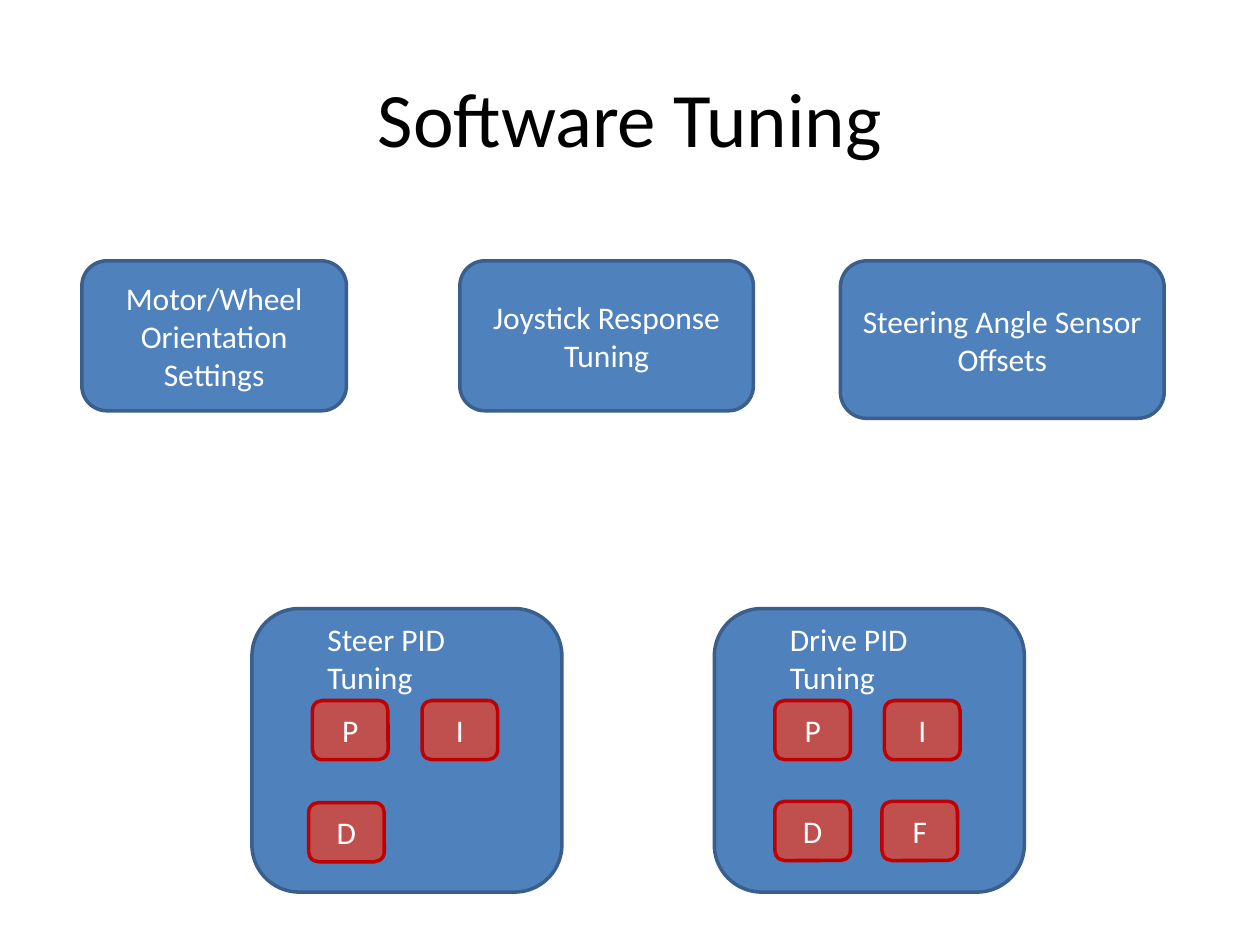
from dataclasses import dataclass

from pptx import Presentation
from pptx.dml.color import RGBColor
from pptx.enum.shapes import MSO_SHAPE
from pptx.enum.text import MSO_ANCHOR, PP_ALIGN
from pptx.util import Inches, Pt

ROUNDED = MSO_SHAPE.ROUNDED_RECTANGLE
MIDDLE = MSO_ANCHOR.MIDDLE
CENTER, LEFT = PP_ALIGN.CENTER, PP_ALIGN.LEFT
TITLE_ONLY = 5


@dataclass(frozen=True)
class Theme:
    """Colours, as (fill, line) pairs where needed, and type sizes."""
    font: str = "Calibri"
    title_size: int = 44
    label_size: int = 18
    line_width: int = 2
    ink: str = "000000"
    label: str = "FFFFFF"
    panel: tuple = ("4F81BD", "3A5F8C")
    gain: tuple = ("C0504D", "C00000")


THEME = Theme()


def write(frame, lines, size, color, align=CENTER):
    """Write each line as one paragraph with one formatted run."""
    frame.word_wrap = True
    for index, line in enumerate(lines):
        paragraph = frame.add_paragraph() if index else frame.paragraphs[0]
        paragraph.alignment = align
        run = paragraph.add_run()
        run.text = line
        run.font.name = THEME.font
        run.font.size = Pt(size)
        run.font.color.rgb = RGBColor.from_string(color)


def add_title(slide, box, text):
    """Place the slide title in its placeholder."""
    title = slide.shapes.title
    title.left, title.top, title.width, title.height = map(Inches, box)
    title.text_frame.vertical_anchor = MIDDLE
    write(title.text_frame, [text], THEME.title_size, THEME.ink)


def add_block(slide, box, colors, label=None):
    """Draw a rounded block with an optional centred label."""
    block = slide.shapes.add_shape(ROUNDED, *map(Inches, box))
    block.shadow.inherit = False
    fill, line = map(RGBColor.from_string, colors)
    block.fill.solid()
    block.fill.fore_color.rgb = fill
    block.line.color.rgb = line
    block.line.width = Pt(THEME.line_width)
    if label:
        block.text_frame.vertical_anchor = MIDDLE
        write(block.text_frame, [label], THEME.label_size, THEME.label)


def add_settings_row(slide, top, settings):
    """Draw the row of settings blocks, all aligned at the top."""
    for label, left, width, height in settings:
        add_block(slide, (left, top, width, height), THEME.panel, label)


def add_pid_panel(slide, box, heading, gains):
    """Draw a tuning panel; gains are (name, x, y) offsets within its box."""
    left, top, _, _ = box
    add_block(slide, box, THEME.panel)
    for name, x, y in gains:
        add_block(slide, (left + x, top + y, 0.6, 0.47), THEME.gain, name)
    heading_box = (left + 0.5, top + 0.04, 1.2, 0.71)
    caption = slide.shapes.add_textbox(*map(Inches, heading_box))
    write(caption.text_frame, heading, THEME.label_size, THEME.label, LEFT)


def build():
    """Build and save the software tuning slide."""
    deck = Presentation()
    deck.slide_width, deck.slide_height = Inches(10), Inches(7.5)
    slide = deck.slides.add_slide(deck.slide_layouts[TITLE_ONLY])
    add_title(slide, (0.5, 0.3, 9, 1.25), "Software Tuning")
    add_settings_row(slide, 2.07, [
        ("Motor/Wheel Orientation Settings", 0.65, 2.1, 1.19),
        ("Joystick Response Tuning", 3.65, 2.33, 1.19),
        ("Steering Angle Sensor Offsets", 6.67, 2.57, 1.25),
    ])
    shared_gains = [("P", 0.48, 0.73), ("I", 1.35, 0.73)]
    panels = [
        (2, "Steer PID", [("D", 0.45, 1.54)]),
        (5.67, "Drive PID", [("D", 0.48, 1.53), ("F", 1.33, 1.53)]),
    ]
    for left, controller, lower_gains in panels:
        add_pid_panel(slide, (left, 4.83, 2.46, 2.25),
                      [controller, "Tuning"], shared_gains + lower_gains)
    deck.save("out.pptx")


build()
